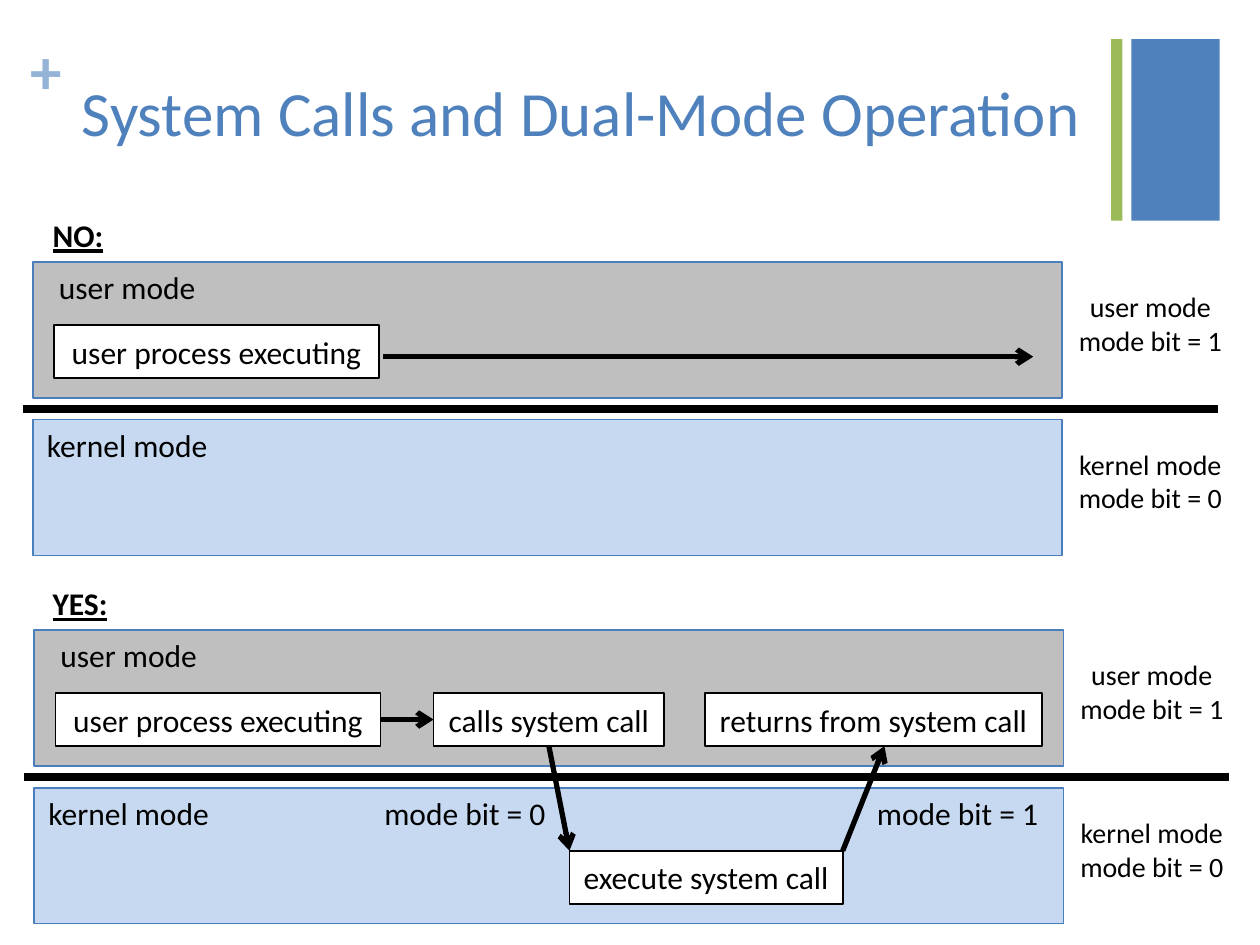
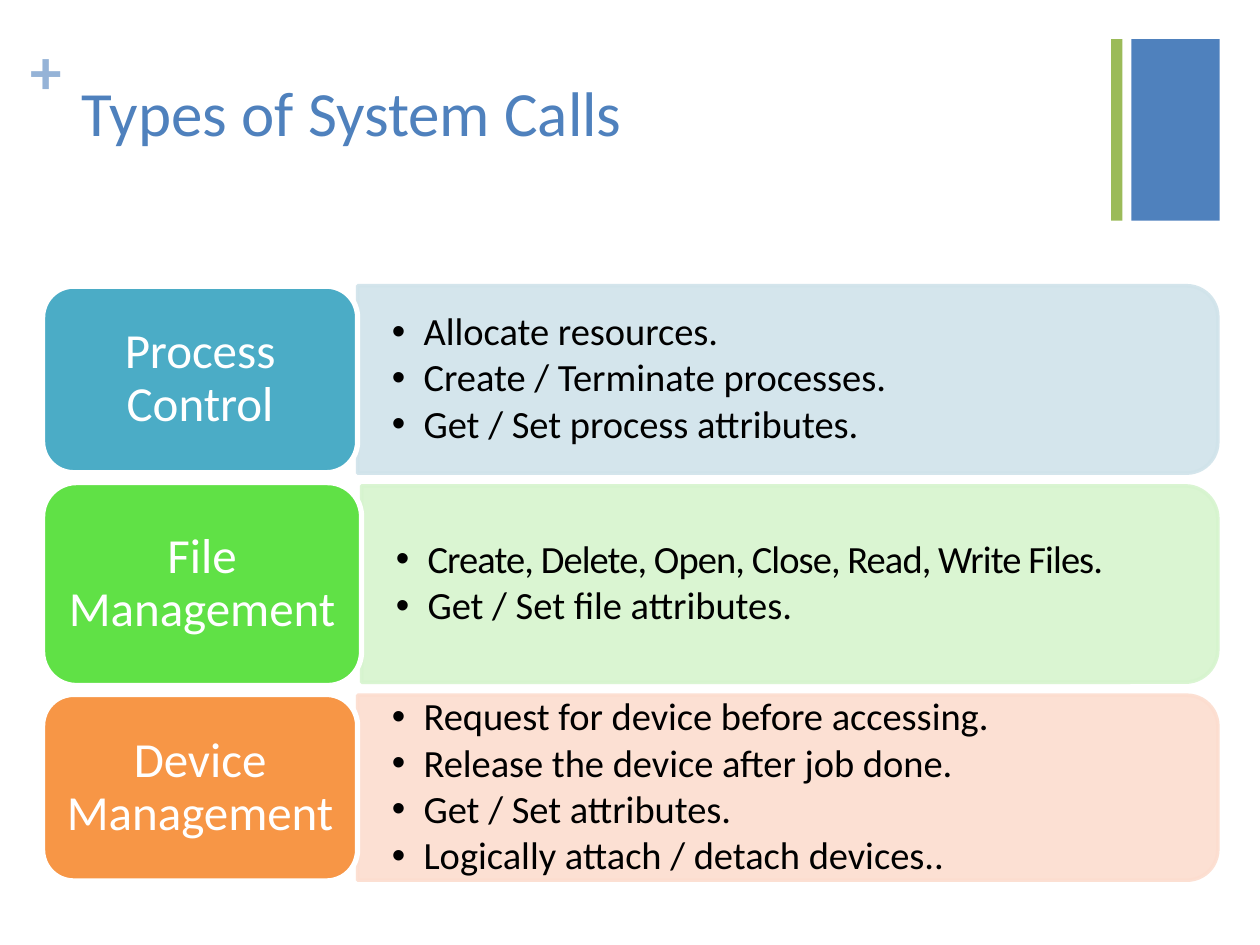
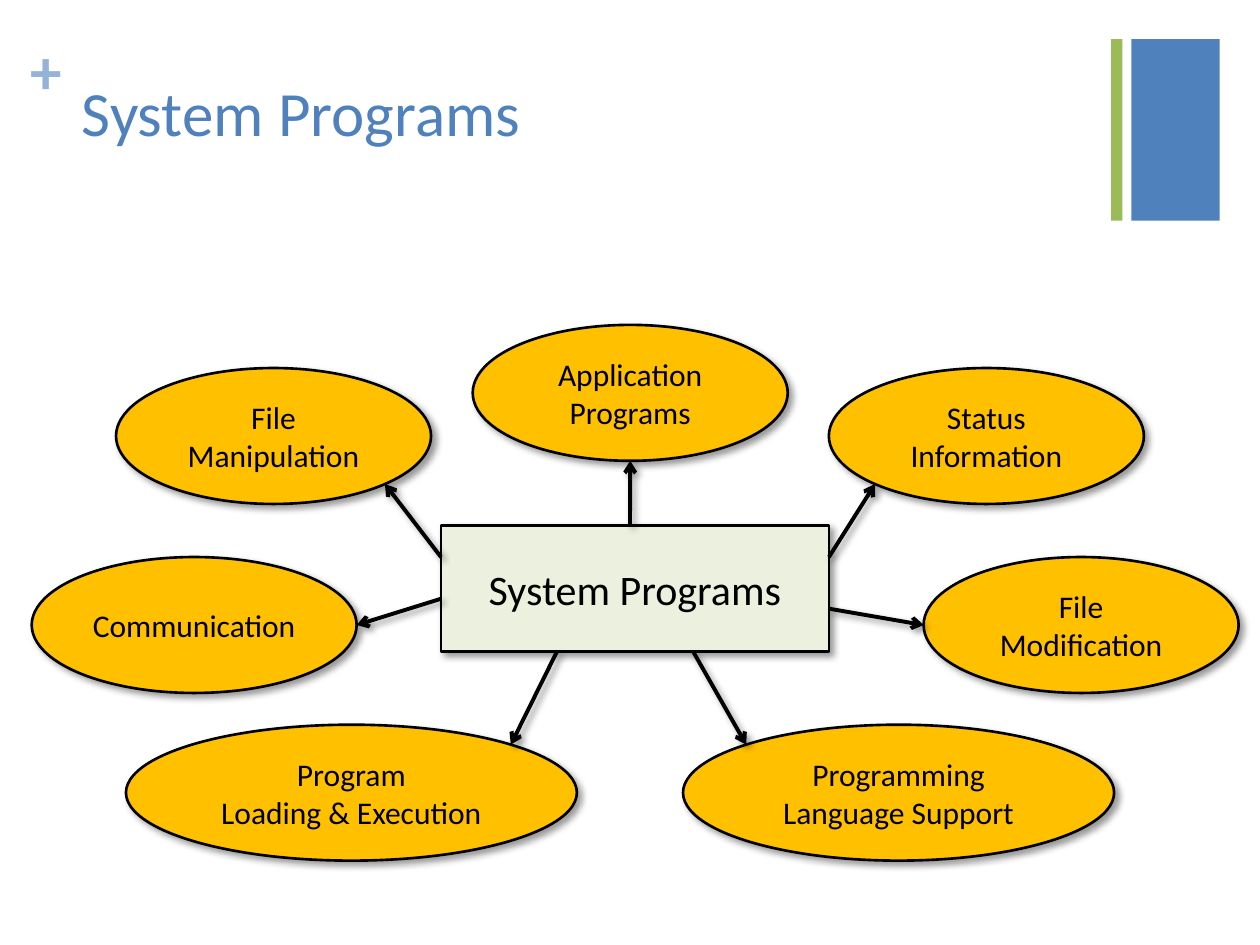
from dataclasses import dataclass
from math import sqrt

from lxml.etree import SubElement
from pptx import Presentation
from pptx.dml.color import RGBColor
from pptx.enum.shapes import MSO_CONNECTOR, MSO_SHAPE
from pptx.enum.text import MSO_ANCHOR, MSO_AUTO_SIZE, PP_ALIGN
from pptx.oxml.ns import qn
from pptx.util import Cm, Pt

FONT = "Calibri"
COLORS = {
    "blue": "4F81BD", "light_blue": "95B3D7", "green": "9BBB59",
    "black": "000000", "white": "FFFFFF",
    "user": "BFBFBF", "kernel": "C6D9F1", "panel_line": "4B7EBC",
    "process": "4BACC6", "process_tint": "D0E3EA",
    "file": "60E146", "file_tint": "D6F4CE",
    "device": "F79646", "device_tint": "FCDDCF",
    "hub": "EBF1DE", "satellite": "FFC000",
}


@dataclass
class Scene:
    heading: str
    left: float
    top: float
    divider_end: float


@dataclass
class Category:
    name: str
    color: str
    top: float
    width: float
    height: float
    panel_height: float
    items: list[str]
    tight: int = 0  # items set with condensed letters


@dataclass
class Satellite:
    lines: list[str]
    left: float
    top: float
    width: float
    start: tuple[float, float]
    tip: tuple[float, float]  # where the arrow ends, on a unit circle


# ---- Shared drawing functions ----
def rgb(name: str) -> RGBColor:
    return RGBColor.from_string(COLORS[name])


def write(sp, lines, *, size=18, color="black", bold=False, underline=False,
          align=PP_ALIGN.CENTER, anchor=MSO_ANCHOR.MIDDLE, margins=(0.25, 0.13),
          spacing=None, after=0, bullet=False, tight=0):
    tf = sp.text_frame
    tf.word_wrap = True
    tf.auto_size = MSO_AUTO_SIZE.NONE
    tf.vertical_anchor = anchor
    tf.margin_left = tf.margin_right = Cm(margins[0])
    tf.margin_top = tf.margin_bottom = Cm(margins[1])
    for i, line in enumerate(lines):
        p = tf.paragraphs[0] if i == 0 else tf.add_paragraph()
        p.alignment = align
        p.space_after = Pt(after)
        if spacing:
            p.line_spacing = spacing
        if bullet:
            pPr = p._p.get_or_add_pPr()
            pPr.set("marL", str(Cm(0.64)))
            pPr.set("indent", str(-Cm(0.64)))
            SubElement(pPr, qn("a:buFont")).set("typeface", "Arial")
            SubElement(pPr, qn("a:buChar")).set("char", "•")
        r = p.add_run()
        r.text = line
        r.font.name, r.font.size = FONT, Pt(size)
        r.font.bold, r.font.underline = bold, underline
        r.font.color.rgb = rgb(color)
        if i < tight:
            r._r.get_or_add_rPr().set("spc", "-50")


def add_text(s, lines, left, top, width, height, **fmt):
    sp = s.shapes.add_textbox(Cm(left), Cm(top), Cm(width), Cm(height))
    write(sp, lines, **{"anchor": MSO_ANCHOR.TOP, **fmt})
    return sp


def add_box(s, kind, left, top, width, height, fill, line=None, weight=1.0):
    sp = s.shapes.add_shape(kind, Cm(left), Cm(top), Cm(width), Cm(height))
    sp.shadow.inherit = False
    sp.fill.solid()
    sp.fill.fore_color.rgb = rgb(fill)
    if line:
        sp.line.color.rgb = rgb(line)
        sp.line.width = Pt(weight)
    else:
        sp.line.fill.background()
    return sp


def add_line(s, start, end, weight, arrow=True):
    c = s.shapes.add_connector(MSO_CONNECTOR.STRAIGHT,
                               *(Cm(v) for v in (*start, *end)))
    c.line.color.rgb = rgb("black")
    c.line.width = Pt(weight)
    spPr = c._element.spPr
    if arrow:
        SubElement(spPr.find(qn("a:ln")), qn("a:tailEnd")).set("type", "arrow")
    SubElement(spPr, qn("a:effectLst"))
    return c


def cast_shadow(sp):
    effects = sp._element.spPr.find(qn("a:effectLst"))
    shadow = SubElement(effects, qn("a:outerShdw"), blurRad=str(Pt(4)),
                        dist=str(Pt(3)), dir=str(45 * 60000), rotWithShape="0")
    color = SubElement(shadow, qn("a:srgbClr"), val=COLORS["black"])
    SubElement(color, qn("a:alpha"), val="40000")


def add_slide(prs, title: str):
    s = prs.slides.add_slide(prs.slide_layouts[5])
    sp = s.shapes.title
    sp.left, sp.top, sp.width, sp.height = Cm(1.4), Cm(1.35), Cm(20.98), Cm(3.1)
    write(sp, [title], size=36, color="blue", align=PP_ALIGN.LEFT,
          anchor=MSO_ANCHOR.TOP)
    add_box(s, MSO_SHAPE.RECTANGLE, 22.81, 0.79, 1.78, 3.66, "blue")
    add_box(s, MSO_SHAPE.RECTANGLE, 22.4, 0.79, 0.23, 3.66, "green")
    add_text(s, ["+"], 0.61, 0.64, 0.74, 1.55, size=36, color="light_blue",
             bold=True, align=PP_ALIGN.LEFT, margins=(0, 0))
    return s


# ---- Slide 1: dual-mode operation ----
PANEL_WIDTH, PANEL_HEIGHT = 20.75, 2.74
KERNEL_OFFSET, DIVIDER_OFFSET = 3.18, 2.97
STEP_OFFSET, STEP_HEIGHT = 1.27, 1.07


def add_step(s, text: str, left: float, top: float, width: float):
    sp = add_box(s, MSO_SHAPE.RECTANGLE, left, top, width, STEP_HEIGHT,
                 "white", "black")
    write(sp, [text])
    return sp


def add_label(s, text: str, left: float, top: float):
    add_text(s, [text], left, top, 3.81, 1.02, margins=(0, 0.13))


def add_scene(s, scene: Scene):
    left, top = scene.left, scene.top
    add_text(s, [scene.heading], 0.81, top - 1.05, 1.9, 1.07, bold=True,
             underline=True, align=PP_ALIGN.LEFT)
    modes = (("user", top, 1), ("kernel", top + KERNEL_OFFSET, 0))
    for mode, y, bit in modes:
        add_box(s, MSO_SHAPE.RECTANGLE, left, y, PANEL_WIDTH, PANEL_HEIGHT,
                mode, "panel_line")
        add_label(s, f"{mode} mode", left, y)
        add_text(s, [f"{mode} mode", f"mode bit = {bit}"], left + PANEL_WIDTH,
                 y + 0.43, 3.56, 1.63, size=16)
    y = top + DIVIDER_OFFSET
    add_line(s, (left - 0.2, y), (scene.divider_end, y), 4.5, arrow=False)
    return add_step(s, "user process executing", left + 0.43,
                    top + STEP_OFFSET, 6.55)


def dual_mode_slide(prs):
    s = add_slide(prs, "System Calls and Dual-Mode Operation")
    no = Scene("NO:", 0.66, 5.28, 24.56)
    yes = Scene("YES:", 0.69, 12.7, 24.77)

    add_scene(s, no)
    add_line(s, (7.72, 7.19), (20.83, 7.19), 3)

    process = add_scene(s, yes)
    step_top = yes.top + STEP_OFFSET
    step_bottom = step_top + STEP_HEIGHT
    execute_top = 17.15
    calls = add_step(s, "calls system call", 8.74, step_top, 4.65)
    add_step(s, "returns from system call", 14.22, step_top, 6.78)
    add_step(s, "execute system call", 11.48, execute_top, 5.51)
    for bit, left in ((0, 7.47), (1, 17.4)):
        add_label(s, f"mode bit = {bit}", left, yes.top + KERNEL_OFFSET)

    c = add_line(s, (7.67, 14.5), (8.74, 14.5), 3)
    c.begin_connect(process, 3)
    c.end_connect(calls, 1)
    c = add_line(s, (11.06, step_bottom), (11.48, execute_top), 3)
    c.begin_connect(calls, 2)
    add_line(s, (16.99, execute_top), (17.83, step_bottom), 3)


# ---- Slide 2: categories with bullet panels ----
CATEGORY_LEFT, PANEL_RIGHT = 0.86, 24.55
CATEGORIES = [
    Category("Process Control", "process", 5.77, 6.35, 3.76, 3.78,
             ["Allocate resources.", "Create / Terminate processes.",
              "Get / Set process attributes."]),
    Category("File Management", "file", 9.73, 6.43, 4.09, 3.96,
             ["Create, Delete, Open, Close, Read, Write Files.",
              "Get / Set file attributes."], tight=1),
    Category("Device Management", "device", 14.0, 6.35, 3.76, 3.73,
             ["Request for device before accessing.",
              "Release the device after job done.", "Get / Set attributes.",
              "Logically attach / detach devices.."]),
]


def add_category(s, cat: Category):
    panel_left = CATEGORY_LEFT + cat.width
    length = PANEL_RIGHT - panel_left
    mid_x, mid_y = panel_left + length / 2, cat.top + cat.height / 2
    tint = f"{cat.color}_tint"
    # The panel is an upright shape turned on its side
    panel = add_box(s, MSO_SHAPE.ROUND_2_SAME_RECTANGLE,
                    mid_x - cat.panel_height / 2, mid_y - length / 2,
                    cat.panel_height, length, tint, tint, 2)
    panel.rotation = 90
    for color in panel._element.spPr.iter(qn("a:srgbClr")):
        SubElement(color, qn("a:alpha"), val="90000")
    add_text(s, cat.items, panel_left, mid_y - 1.7, length - 0.18, 3.4, size=22,
             align=PP_ALIGN.LEFT, anchor=MSO_ANCHOR.MIDDLE, margins=(0.69, 0.36),
             spacing=0.9, after=2.7, bullet=True, tight=cat.tight)
    sp = add_box(s, MSO_SHAPE.ROUNDED_RECTANGLE, CATEGORY_LEFT, cat.top,
                 cat.width, cat.height, cat.color, "white", 3)
    write(sp, [cat.name], size=28, color="white", margins=(0.25, 0.15),
          spacing=0.9)


def types_slide(prs):
    s = add_slide(prs, "Types of System Calls")
    for cat in CATEGORIES:
        add_category(s, cat)


# ---- Slide 3: hub with satellites ----
ELLIPSE_HEIGHT = 2.74
D = 1 / sqrt(2)
SATELLITES = [
    Satellite(["Status Information"], 16.71, 7.42, 6.35, (16.71, 11.23), (-D, D)),
    Satellite(["File Manipulation"], 2.34, 7.42, 6.35, (8.89, 11.23), (D, D)),
    Satellite(["File Modification"], 18.62, 11.23, 6.35, (16.71, 12.27), (-1, 0)),
    Satellite(["Communication"], 0.64, 11.23, 6.55, (8.89, 12.07), (1, 0)),
    Satellite(["Program", "Loading & Execution"], 2.54, 14.61, 9.09,
              (11.23, 13.13), (D, -D)),
    Satellite(["Programming Language Support"], 13.77, 14.61, 8.69,
              (13.97, 13.13), (-D, -D)),
    Satellite(["Application Programs"], 9.53, 6.55, 6.35, (12.7, 10.59), (0, 1)),
]


def add_satellite(s, sat: Satellite):
    sp = add_box(s, MSO_SHAPE.OVAL, sat.left, sat.top, sat.width,
                 ELLIPSE_HEIGHT, "satellite", "black", 1.5)
    cast_shadow(sp)
    margin = 0 if sat.lines == ["Communication"] else 0.25
    write(sp, sat.lines, margins=(margin, 0.13))
    end = (sat.left + sat.width / 2 * (1 + sat.tip[0]),
           sat.top + ELLIPSE_HEIGHT / 2 * (1 + sat.tip[1]))
    cast_shadow(add_line(s, sat.start, end, 2.25))


def programs_slide(prs):
    s = add_slide(prs, "System Programs")
    hub = add_box(s, MSO_SHAPE.RECTANGLE, 8.89, 10.59, 7.82, 2.54, "hub",
                  "black", 1.5)
    cast_shadow(hub)
    write(hub, ["System Programs"], size=24)
    for sat in SATELLITES:
        add_satellite(s, sat)


def main():
    prs = Presentation()
    prs.slide_width, prs.slide_height = Cm(25.4), Cm(19.05)
    dual_mode_slide(prs)
    types_slide(prs)
    programs_slide(prs)
    prs.save("out.pptx")


if __name__ == "__main__":
    main()
